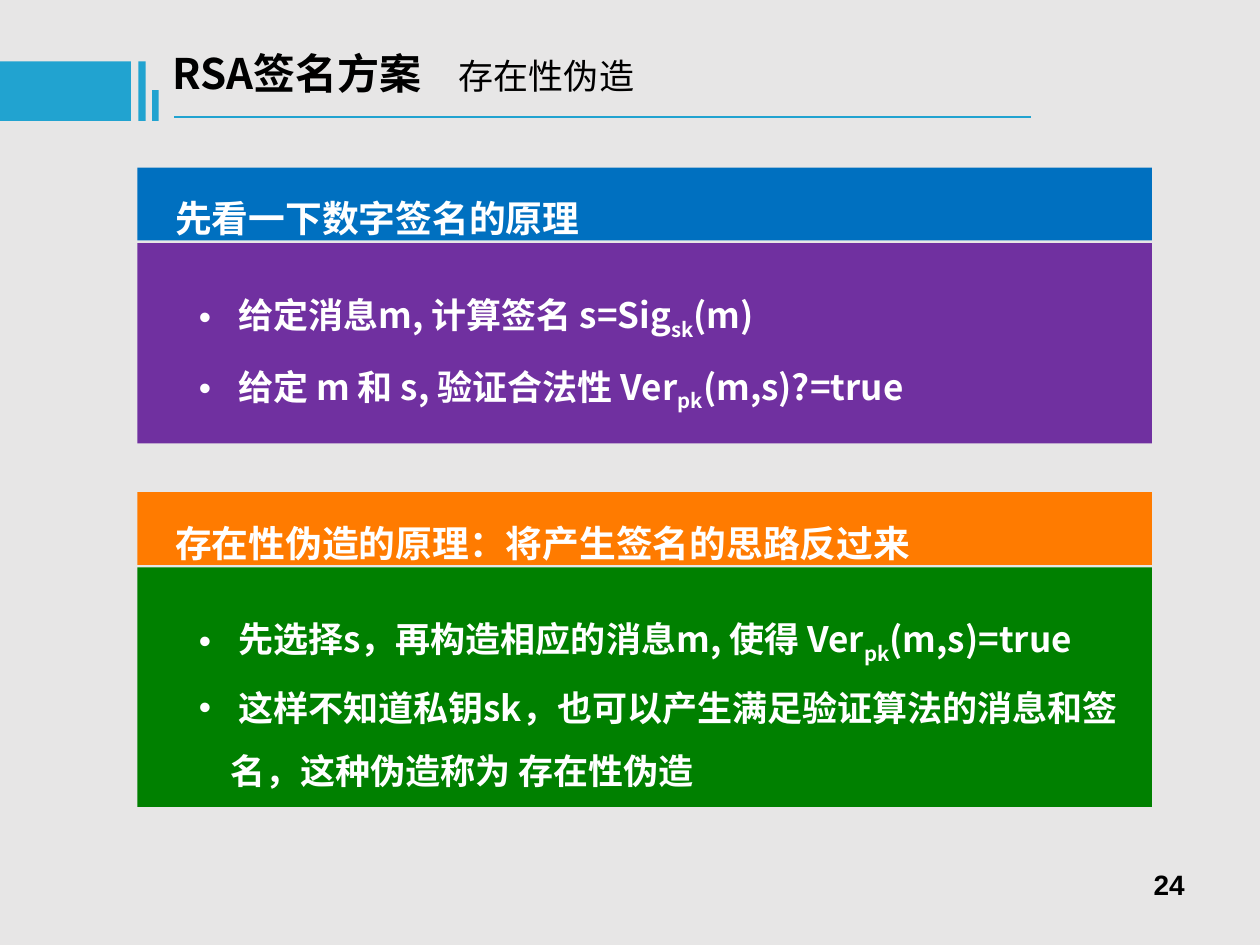
from lxml import etree
from pptx import Presentation
from pptx.dml.color import RGBColor
from pptx.enum.shapes import MSO_CONNECTOR, MSO_SHAPE
from pptx.enum.text import PP_ALIGN
from pptx.oxml.ns import qn
from pptx.util import Cm, Pt

RECTANGLE = MSO_SHAPE.RECTANGLE
STRAIGHT = MSO_CONNECTOR.STRAIGHT
RIGHT = PP_ALIGN.RIGHT

GRAY = RGBColor(0xE7, 0xE6, 0xE6)
CYAN = RGBColor(0x21, 0xA3, 0xD0)
BLUE = RGBColor(0x00, 0x70, 0xC0)
PURPLE = RGBColor(0x70, 0x30, 0xA0)
ORANGE = RGBColor(0xFF, 0x7B, 0x00)
GREEN = RGBColor(0x00, 0x80, 0x00)
WHITE = RGBColor(0xFF, 0xFF, 0xFF)
BLACK = RGBColor(0x00, 0x00, 0x00)

CJK_FONT = "Noto Sans CJK SC"
NUMBER_FONT = "Arial"

TITLE = "RSA签名方案"
SUBTITLE = "存在性伪造"
PAGE_NUMBER = "24"

# Each bullet is a list of parts: plain and subscript text in turn.
PANELS = [
    {
        "top": 3.38, "body_height": 4.04,
        "head_color": BLUE, "body_color": PURPLE,
        "heading": "先看一下数字签名的原理",
        "bullets": [
            [" 给定消息m, 计算签名 s=Sig", "sk", "(m)"],
            [" 给定 m 和 s, 验证合法性 Ver", "pk", "(m,s)?=true"],
        ],
    },
    {
        "top": 9.92, "body_height": 4.83,
        "head_color": ORANGE, "body_color": GREEN,
        "heading": "存在性伪造的原理：将产生签名的思路反过来",
        "bullets": [
            [" 先选择s，再构造相应的消息m, 使得 Ver", "pk", "(m,s)=true"],
            [" 这样不知道私钥sk，也可以产生满足验证算法的消息和签名，这种伪造称为 存在性伪造"],
        ],
    },
]

# Left, top, width, height of the bars beside the title, in cm
TITLE_BARS = [(0, 1.24, 2.64, 1.2), (2.79, 1.24, 0.15, 1.2), (3.07, 1.82, 0.13, 0.62)]

PANEL_LEFT, PANEL_WIDTH = 2.77, 20.45
HEAD_HEIGHT, HEAD_STEP = 1.47, 1.52
BULLET_INDENT = 0.63
SUBTITLE_TAB = 5.77


def add_bar(page, left, top, width, height, color):
    bar = page.shapes.add_shape(RECTANGLE, Cm(left), Cm(top), Cm(width), Cm(height))
    bar.shadow.inherit = False
    bar.fill.solid()
    bar.fill.fore_color.rgb = color
    bar.line.fill.background()


def add_text_frame(page, left, top, width, height):
    box = page.shapes.add_textbox(Cm(left), Cm(top), Cm(width), Cm(height))
    box.text_frame.word_wrap = True
    return box.text_frame


def style(para, size, color, name=CJK_FONT, bold=True):
    """Set the paragraph font for Latin and East Asian text alike."""
    font = para.font
    font.size, font.bold, font.name = Pt(size), bold, name
    font.color.rgb = color
    defaults = para._p.pPr.find(qn("a:defRPr"))
    etree.SubElement(defaults, qn("a:ea"), typeface=name)


def add_bullet(para):
    properties = para._p.get_or_add_pPr()
    properties.set("marL", str(Cm(BULLET_INDENT)))
    properties.set("indent", str(-Cm(BULLET_INDENT)))
    color = etree.SubElement(properties, qn("a:buClr"))
    etree.SubElement(color, qn("a:srgbClr"), val=str(WHITE))
    etree.SubElement(properties, qn("a:buFont"), typeface=NUMBER_FONT)
    etree.SubElement(properties, qn("a:buChar"), char="•")


def add_title(page):
    for bar in TITLE_BARS:
        add_bar(page, *bar, CYAN)
    rule = page.shapes.add_connector(STRAIGHT, Cm(3.51), Cm(2.36), Cm(20.78), Cm(2.36))
    rule.line.color.rgb = CYAN
    rule.line.width = Pt(1.5)
    etree.SubElement(rule._element.spPr, qn("a:effectLst"))

    para = add_text_frame(page, 3.23, 0.84, 13, 1.27).paragraphs[0]
    tabs = etree.SubElement(para._p.get_or_add_pPr(), qn("a:tabLst"))
    etree.SubElement(tabs, qn("a:tab"), pos=str(Cm(SUBTITLE_TAB)), algn="l")
    style(para, 24, BLACK)
    para.add_run().text = TITLE + "\t"
    subtitle = para.add_run()
    subtitle.text = SUBTITLE
    subtitle.font.size, subtitle.font.bold = Pt(20), False


def add_panel(page, panel):
    top = panel["top"]
    body_top = top + HEAD_STEP
    body_height = panel["body_height"]
    add_bar(page, PANEL_LEFT, body_top, PANEL_WIDTH, body_height, panel["body_color"])
    add_bar(page, PANEL_LEFT, top, PANEL_WIDTH, HEAD_HEIGHT, panel["head_color"])

    heading = add_text_frame(page, 3.28, top, 18.14, 1.6).paragraphs[0]
    heading.text = panel["heading"]
    heading.line_spacing = 1.5
    style(heading, 21, WHITE)

    frame = add_text_frame(page, 3.76, body_top + 0.41, 19.08, body_height - 0.7)
    for index, parts in enumerate(panel["bullets"]):
        para = frame.add_paragraph() if index else frame.paragraphs[0]
        para.line_spacing = 1.5
        add_bullet(para)
        style(para, 20, WHITE)
        for position, part in enumerate(parts):
            span = para.add_run()
            span.text = part
            if position % 2:
                span.font._element.set("baseline", "-25000")


def add_page_number(page):
    para = add_text_frame(page, 18.21, 17.37, 5.92, 1.32).paragraphs[0]
    para.text = PAGE_NUMBER
    para.alignment = RIGHT
    style(para, 16, BLACK, NUMBER_FONT)


def main():
    deck = Presentation()
    deck.slide_width, deck.slide_height = Cm(25.4), Cm(19.05)
    page = deck.slides.add_slide(deck.slide_layouts[6])
    page.background.fill.solid()
    page.background.fill.fore_color.rgb = GRAY
    add_title(page)
    for panel in PANELS:
        add_panel(page, panel)
    add_page_number(page)
    deck.save("out.pptx")


if __name__ == "__main__":
    main()
